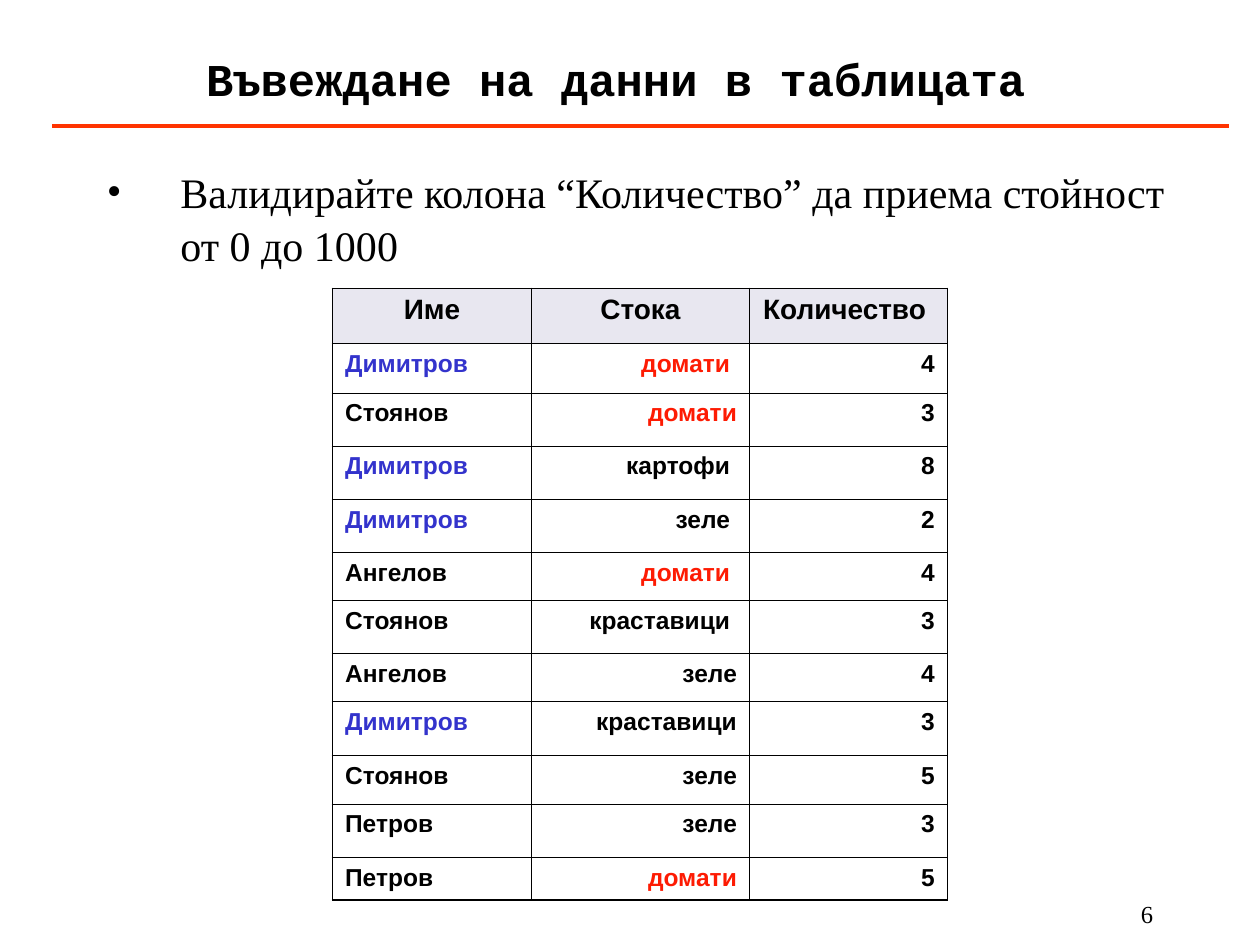
"""Build a slide with a title, one bullet and a table of goods."""
import pptx
import pptx.dml.color
import pptx.enum.shapes
import pptx.enum.text
import pptx.oxml.ns
import pptx.util
from lxml import etree

Pt = pptx.util.Pt
ALIGN = pptx.enum.text.PP_ALIGN
COLORS = {"black": "000000", "rule": "FF3300", "blue": "3333CC",
          "red": "FD1B03", "header": "D2D1E3"}


def style(p, font, size, color="black", bold=False, align=ALIGN.LEFT):
    p.alignment = align
    p.font.name = font
    p.font.size = Pt(size)
    p.font.bold = bold
    p.font.color.rgb = pptx.dml.color.RGBColor.from_string(COLORS[color])


def add(parent, tag, **attrs):
    return etree.SubElement(parent, pptx.oxml.ns.qn(tag), **attrs)


prs = pptx.Presentation()
prs.slide_width, prs.slide_height = Pt(720), Pt(540)
s = prs.slides.add_slide(prs.slide_layouts[5])

line = s.shapes.add_connector(pptx.enum.shapes.MSO_CONNECTOR.STRAIGHT,
                              Pt(30), Pt(72), Pt(702), Pt(72))
line.line.color.rgb = pptx.dml.color.RGBColor.from_string(COLORS["rule"])
line.line.width = Pt(2.25)
add(line._element.spPr, "a:effectLst")

title = s.shapes.title
title.left, title.top, title.width, title.height = Pt(54), Pt(18), Pt(612), Pt(54)
tf = title.text_frame
tf.vertical_anchor = pptx.enum.text.MSO_ANCHOR.MIDDLE
tf.text = "Въвеждане на данни в таблицата "
style(tf.paragraphs[0], "Courier New", 26, bold=True, align=ALIGN.CENTER)

body = s.shapes.add_textbox(Pt(54), Pt(90), Pt(629), Pt(83.5))
tf = body.text_frame
tf.word_wrap = True
tf.text = "Валидирайте колона “Количество” да приема стойност от 0 до 1000"
p = tf.paragraphs[0]
p.line_spacing = 1.05
pPr = p._p.get_or_add_pPr()
pPr.set("marL", str(Pt(42)))
pPr.set("indent", str(Pt(-42)))
add(pPr, "a:buFont", typeface="Times New Roman")
add(pPr, "a:buChar", char="•")
style(p, "Times New Roman", 24)

number = s.shapes.add_textbox(Pt(582), Pt(510), Pt(84), Pt(18))
tf = number.text_frame
tf.word_wrap = True
tf.text = "6"
style(tf.paragraphs[0], "Times New Roman", 14, align=ALIGN.RIGHT)

rows = [
    ("Име", "Стока", "Количество "),
    ("Димитров", "домати ", "4"),
    ("Стоянов", "домати", "3"),
    ("Димитров", "картофи ", "8"),
    ("Димитров", "зеле ", "2"),
    ("Ангелов", "домати ", "4"),
    ("Стоянов", "краставици ", "3"),
    ("Ангелов", "зеле", "4"),
    ("Димитров", "краставици", "3"),
    ("Стоянов", "зеле", "5"),
    ("Петров", "зеле", "3"),
    ("Петров", "домати", "5"),
]
widths = [113.7, 124.6, 113.1]
heights = [31.5, 28.4, 30.4, 30.4, 30.4, 27.4, 30.4, 27.4, 30.9, 27.6, 30.7, 24.3]
highlights = {"Димитров": "blue", "домати": "red"}

table = s.shapes.add_table(len(rows), len(widths), Pt(190), Pt(164.8),
                           Pt(sum(widths)), Pt(sum(heights))).table
table.first_row = table.horz_banding = False
for column, width in zip(table.columns, widths):
    column.width = Pt(width)
for i, (row, height) in enumerate(zip(rows, heights)):
    table.rows[i].height = Pt(height)
    header = i == 0
    for j, text in enumerate(row):
        cell = table.cell(i, j)
        tcPr = cell._tc.get_or_add_tcPr()
        top = 1.08 if header else 0.45
        bottom = 1.08 if i == len(rows) - 1 else 0.45
        for tag, width in (("a:lnL", 1.08), ("a:lnR", 1.08),
                           ("a:lnT", top), ("a:lnB", bottom)):
            ln = add(tcPr, tag, w=str(Pt(width)))
            add(add(ln, "a:solidFill"), "a:srgbClr", val=COLORS["black"])
        if header:
            fill = add(tcPr, "a:solidFill")
            add(add(fill, "a:srgbClr", val=COLORS["header"]), "a:alpha", val="50000")
        else:
            cell.fill.background()
        cell.text = text
        align = ALIGN.CENTER if header else ALIGN.RIGHT if j else ALIGN.LEFT
        style(cell.text_frame.paragraphs[0], "Arial", 16 if header else 14,
              highlights.get(text.strip(), "black"), True, align)

prs.save("out.pptx")
